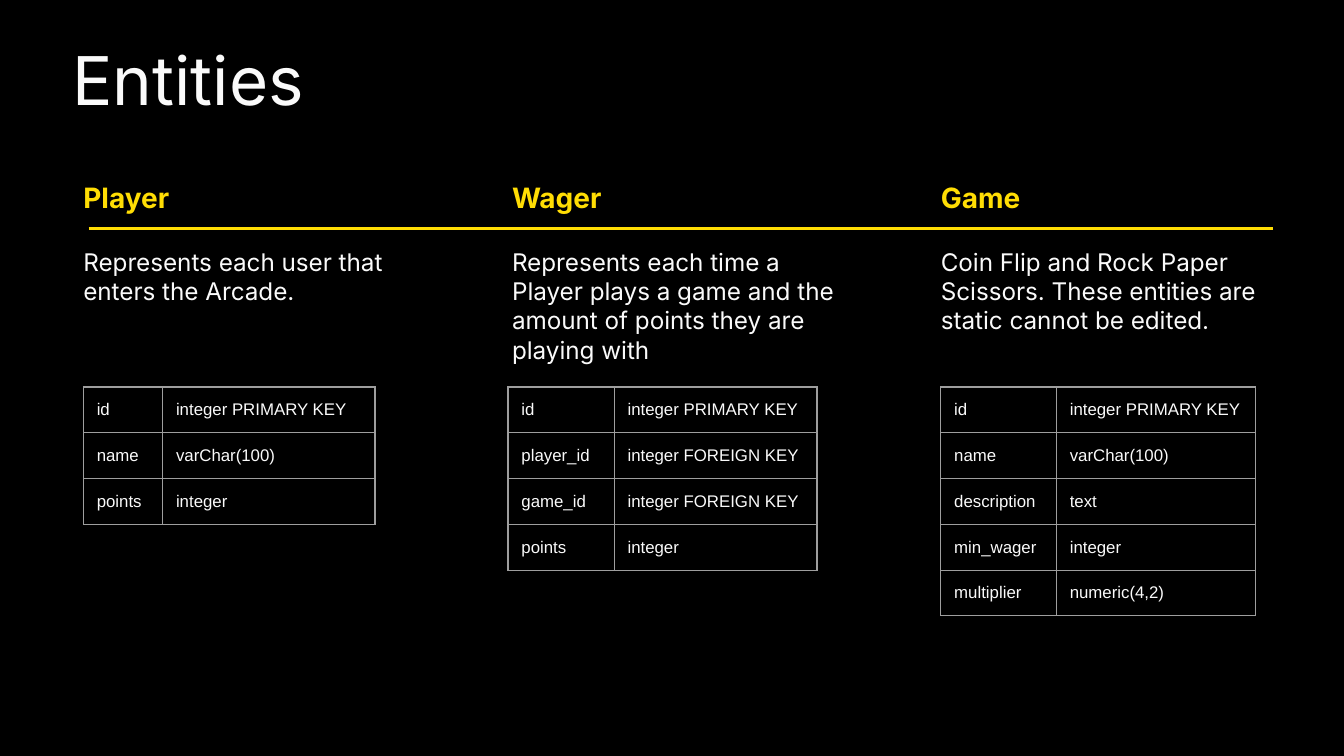
from lxml.etree import SubElement
from pptx import Presentation
from pptx.dml.color import RGBColor
from pptx.enum.shapes import MSO_CONNECTOR
from pptx.enum.text import MSO_ANCHOR, MSO_AUTO_SIZE, PP_ALIGN
from pptx.oxml.ns import qn
from pptx.util import Inches, Pt

BLACK = RGBColor(0x00, 0x00, 0x00)
WHITE = RGBColor(0xFA, 0xFA, 0xFA)
YELLOW = RGBColor(0xFF, 0xDD, 0x04)
GRAY = RGBColor(0x9E, 0x9E, 0x9E)

TITLE_FONT = {"name": "Inter", "size": Pt(36), "bold": False}
HEADING_FONT = {"name": "Inter", "size": Pt(15), "bold": True}
DESCRIPTION_FONT = {"name": "Inter", "size": Pt(13), "bold": False}
CELL_FONT = {"name": "Arial", "size": Pt(9), "bold": False}
FRAME_FORMAT = {
    "margin_left": 0, "margin_top": 0, "margin_right": 0, "margin_bottom": 0,
    "word_wrap": True, "vertical_anchor": MSO_ANCHOR.TOP,
    "auto_size": MSO_AUTO_SIZE.NONE,
}
CELL_MARGINS = {f"margin_{side}": Inches(0.1) for side in ("left", "top", "right", "bottom")}
ROW_HEIGHT = 0.34

# Text left, table left, column widths, heading, description, fields
ENTITIES = [
    (0.62, 0.62, (0.59, 1.58), "Player",
     "Represents each user that enters the Arcade.",
     [("id", "integer PRIMARY KEY"), ("name", "varChar(100)"), ("points", "integer")]),
    (3.81, 3.78, (0.79, 1.51), "Wager",
     "Represents each time a Player plays a game and the amount of points they are playing with",
     [("id", "integer PRIMARY KEY"), ("player_id", "integer FOREIGN KEY"),
      ("game_id", "integer FOREIGN KEY"), ("points", "integer")]),
    (7, 7, (0.86, 1.48), "Game",
     "Coin Flip and Rock Paper Scissors. These entities are static cannot be edited.",
     [("id", "integer PRIMARY KEY"), ("name", "varChar(100)"), ("description", "text"),
      ("min_wager", "integer"), ("multiplier", "numeric(4,2)")]),
]


def set_paragraph(paragraph, text, font_format, color, line_spacing=1.0, space_after=0):
    paragraph.alignment = PP_ALIGN.LEFT
    paragraph.line_spacing = line_spacing
    paragraph.space_before = Pt(0)
    paragraph.space_after = Pt(space_after)
    properties = paragraph._p.get_or_add_pPr()
    properties.set("marL", "0")
    properties.set("indent", "0")
    SubElement(properties, qn("a:buNone"))
    run = paragraph.add_run()
    run.text = text
    for name, value in font_format.items():
        setattr(run.font, name, value)
    run.font.color.rgb = color


def place_placeholder(shape, left, top, width, height):
    shape.left, shape.top = Inches(left), Inches(top)
    shape.width, shape.height = Inches(width), Inches(height)
    for name, value in FRAME_FORMAT.items():
        setattr(shape.text_frame, name, value)


# Widescreen slide, 16:9
presentation = Presentation()
presentation.slide_width = Inches(10)
presentation.slide_height = Inches(10 * 9 / 16)
slide = presentation.slides.add_slide(presentation.slide_layouts.get_by_name("Comparison"))
slide.background.fill.solid()
slide.background.fill.fore_color.rgb = BLACK

# Title
title = slide.shapes.title
place_placeholder(title, 0.54, 0.38, 4.46, 0.52)
set_paragraph(title.text_frame.paragraphs[0], "Entities", TITLE_FONT, WHITE, 0.85)

# The layout has four body placeholders; three are used
*bodies, spare = list(slide.placeholders)[1:]
spare.element.getparent().remove(spare.element)

for body, entity in zip(bodies, ENTITIES):
    text_left, table_left, column_widths, heading, description, fields = entity

    # Heading and description
    place_placeholder(body, text_left, 1.34, 2.51, 2.24)
    frame = body.text_frame
    set_paragraph(frame.paragraphs[0], heading, HEADING_FONT, YELLOW, space_after=18)
    set_paragraph(frame.add_paragraph(), description, DESCRIPTION_FONT, WHITE)

    # Table of fields
    table = slide.shapes.add_table(
        len(fields), 2, Inches(table_left), Inches(2.88),
        Inches(sum(column_widths)), Inches(ROW_HEIGHT * len(fields))).table
    table.first_row = False
    table.horz_banding = False
    for column, width in zip(table.columns, column_widths):
        column.width = Inches(width)
    for row, field in zip(table.rows, fields):
        row.height = Inches(ROW_HEIGHT)
        for cell, text in zip(row.cells, field):
            for name, value in CELL_MARGINS.items():
                setattr(cell, name, value)
            set_paragraph(cell.text_frame.paragraphs[0], text, CELL_FONT, WHITE)
            cell_properties = cell._tc.get_or_add_tcPr()
            for side in ("lnL", "lnR", "lnT", "lnB"):
                border = SubElement(cell_properties, qn(f"a:{side}"), w=str(Pt(0.75)))
                border_fill = SubElement(border, qn("a:solidFill"))
                SubElement(border_fill, qn("a:srgbClr"), val=str(GRAY))
            cell.fill.background()

# Line under the headings
divider = slide.shapes.add_connector(
    MSO_CONNECTOR.STRAIGHT, Inches(0.66), Inches(1.7), Inches(9.47), Inches(1.7))
divider.line.color.rgb = YELLOW
divider.line.width = Pt(1.5)
SubElement(divider._element.spPr, qn("a:effectLst"))

presentation.save("out.pptx")
